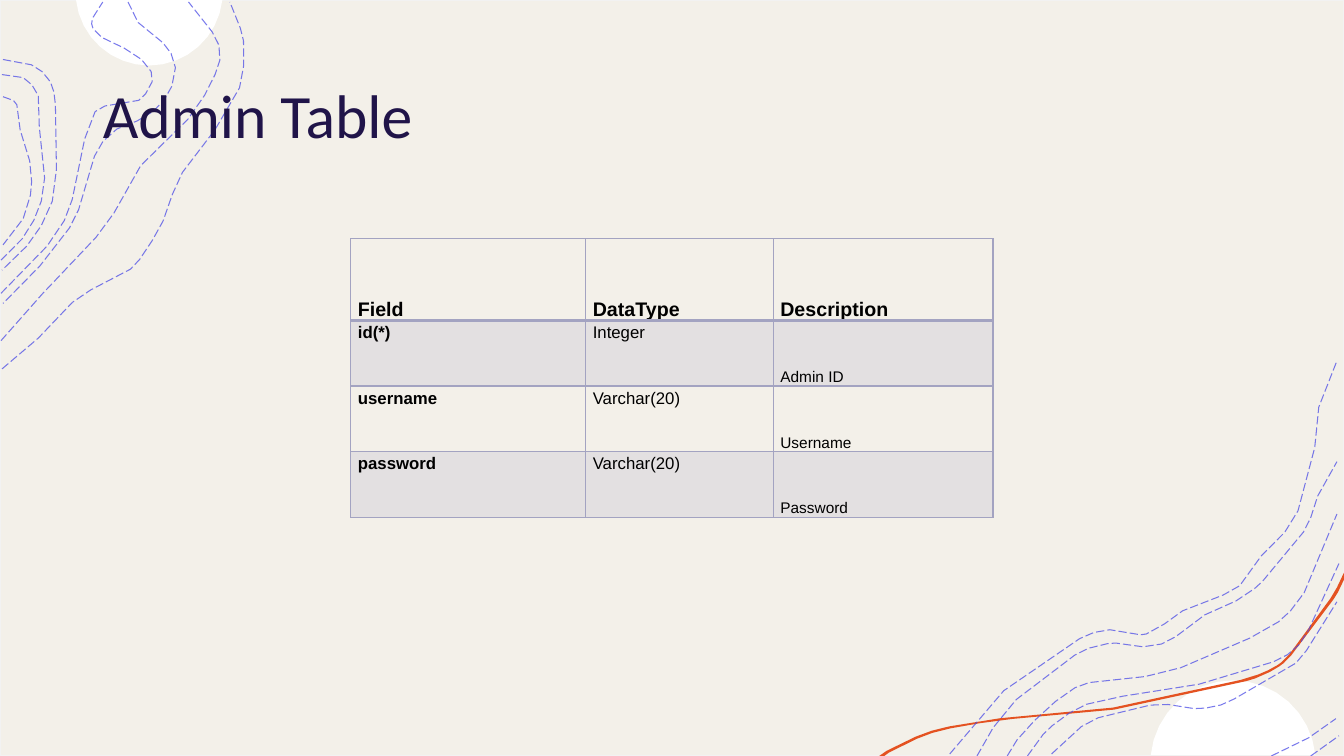
import math
from pptx import Presentation, util as u
from pptx.dml.color import RGBColor
from pptx.enum import dml, shapes as sh, text
from pptx.oxml import parse_xml
from pptx.oxml.ns import nsdecls, qn

CREAM = RGBColor(0xF3, 0xF0, 0xE9)
EDGE = RGBColor(0xF2, 0xF2, 0xF2)
WHITE = RGBColor(0xFF, 0xFF, 0xFF)
BLACK = RGBColor(0, 0, 0)
NAVY = RGBColor(0x20, 0x14, 0x49)
VIOLET = RGBColor(0x4D, 0x4E, 0xE6)
ORANGE = RGBColor(0xE4, 0x52, 0x21)
LILAC = RGBColor(0xA3, 0xA3, 0xC1)

TITLE = "Admin Table"
ROWS = [
    ("Field", "DataType", "Description"),
    ("id(*)", "Integer", "Admin ID"),
    ("username", "Varchar(20)", "Username"),
    ("password", "Varchar(20)", "Password"),
]
WIDTHS = (2.33, 1.86, 2.18)
HEIGHTS = (0.81, 0.65, 0.65, 0.65)
SIZES = (12, 12, 11)

# Centre x, centre y, radius, side of the centre that shows (1 is below)
DISCS = [(1.48, -0.08, 0.73, 1), (12.23, 7.57, 0.82, -1)]
CUT = 0.08

# Knots of the smooth contour lines, in inches
TOP_LEFT = [
    [(0.02, 3.66), (0.2, 3.52), (0.55, 3.19), (0.66, 3.05), (0.86, 2.9), (1.11, 2.77),
     (1.27, 2.69), (1.41, 2.54), (1.6, 2.23), (1.67, 2.03), (1.81, 1.71), (2.01, 1.46),
     (2.19, 1.2), (2.36, 0.91), (2.41, 0.71), (2.42, 0.53), (2.4, 0.33), (2.28, 0.02)],
    [(0.01, 3.38), (0.21, 3.17), (0.38, 2.96), (0.64, 2.69), (0.88, 2.44), (1.08, 2.19),
     (1.22, 1.96), (1.37, 1.68), (1.54, 1.49), (1.83, 1.22), (1.98, 1.03), (2.12, 0.77),
     (2.17, 0.63), (2.18, 0.56), (2.14, 0.37), (1.87, 0.02)],
    [(1.27, 0.02), (1.35, 0.19), (1.41, 0.26), (1.65, 0.46), (1.74, 0.67), (1.69, 0.89),
     (1.55, 1.08), (1.36, 1.2), (1.16, 1.28), (1.04, 1.38), (0.95, 1.52), (0.88, 1.73),
     (0.78, 2.08), (0.69, 2.26), (0.6, 2.38), (0.42, 2.61), (0.28, 2.76), (0.03, 3.01)],
    [(0.01, 2.91), (0.35, 2.57), (0.56, 2.32), (0.7, 2.04), (0.78, 1.65), (0.84, 1.38),
     (0.92, 1.15), (1.01, 1.06), (1.24, 1.03), (1.4, 0.98), (1.51, 0.81), (1.49, 0.69),
     (1.38, 0.57), (1.2, 0.46), (0.98, 0.35), (0.91, 0.21), (1.02, 0.02)],
    [(0.03, 0.59), (0.28, 0.63), (0.44, 0.73), (0.52, 0.86), (0.55, 1.04), (0.55, 1.32),
     (0.56, 1.68), (0.54, 1.9), (0.48, 2.1), (0.31, 2.39), (0.02, 2.68)],
    [(0.02, 0.74), (0.23, 0.77), (0.38, 0.95), (0.39, 1.26), (0.43, 1.55), (0.44, 1.81),
     (0.38, 2.09), (0.22, 2.37), (0.01, 2.58)],
    [(0.03, 0.96), (0.15, 1.01), (0.18, 1.12), (0.2, 1.29), (0.28, 1.54), (0.3, 1.65),
     (0.31, 1.89), (0.23, 2.17), (0.14, 2.3), (0.03, 2.43)],
]
LOW_RIGHT = [
    [(9.42, 7.48), (9.49, 7.39), (9.71, 7.13), (9.86, 6.95), (10.02, 6.8), (10.32, 6.6),
     (10.56, 6.43), (10.78, 6.3), (10.98, 6.25), (11.13, 6.26), (11.26, 6.29), (11.37, 6.29),
     (11.55, 6.19), (11.73, 6.06), (12, 5.96), (12.24, 5.85), (12.34, 5.76), (12.49, 5.54),
     (12.61, 5.41), (12.72, 5.31), (12.86, 5.1), (12.91, 4.93), (12.92, 4.85), (13.04, 4.44),
     (13.08, 4.04), (13.26, 3.58)],
    [(9.69, 7.5), (9.85, 7.22), (10.08, 6.94), (10.29, 6.77), (10.49, 6.62), (10.75, 6.45),
     (11.03, 6.38), (11.22, 6.41), (11.45, 6.41), (11.64, 6.33), (11.75, 6.24), (11.95, 6.1),
     (12.18, 6), (12.33, 5.92), (12.5, 5.79), (12.63, 5.63), (12.86, 5.36), (12.94, 5.26),
     (13.01, 5.11), (13.07, 4.92), (13.26, 4.58)],
    [(13, 7.5), (13.28, 7.3)],
    [(12.61, 7.5), (12.98, 7.32), (13.25, 7.13)],
    [(10.43, 7.48), (10.63, 7.29), (10.84, 7.14), (11.19, 7.05), (11.45, 6.99), (11.71, 7),
     (11.88, 7.03), (12.17, 6.97), (12.64, 6.69), (12.9, 6.53), (13.26, 5.97)],
    [(10.19, 7.5), (10.39, 7.24), (10.72, 7.01), (11.07, 6.92), (11.49, 6.85), (11.84, 6.8),
     (12.15, 6.71), (12.52, 6.6), (12.71, 6.53), (12.88, 6.4), (13.03, 6.15), (13.28, 5.59)],
    [(9.99, 7.5), (10.12, 7.3), (10.42, 7), (10.71, 6.8), (11, 6.75), (11.43, 6.7),
     (11.84, 6.58), (12.16, 6.43), (12.44, 6.31), (12.68, 6.17), (12.85, 6), (12.99, 5.77),
     (13.26, 5.1)],
]
RIBBON = [  # lower edge, then upper edge
    [(13.33, 5.75), (13.25, 5.91), (13.07, 6.16), (12.93, 6.34), (12.73, 6.58), (12.45, 6.73),
     (12.15, 6.8), (11.55, 6.93), (11.05, 7.04), (10.48, 7.09), (9.82, 7.16), (9.25, 7.27),
     (8.85, 7.45), (8.77, 7.5)],
    [(8.72, 7.5), (8.83, 7.43), (9.24, 7.25), (9.81, 7.14), (10.48, 7.07), (11.04, 7.02),
     (11.54, 6.91), (12.14, 6.78), (12.43, 6.71), (12.71, 6.57), (12.91, 6.33), (13.04, 6.15),
     (13.22, 5.9), (13.31, 5.72), (13.33, 5.68)],
]


def trim(pts, slack):
    """Drop the points that lie within slack of a straight run."""
    (ax, ay), (bx, by) = pts[0], pts[-1]
    span = math.hypot(bx - ax, by - ay)
    gaps = [abs((bx - ax) * (y - ay) - (by - ay) * (x - ax)) / span for x, y in pts]
    far = gaps.index(max(gaps))
    if gaps[far] <= slack:
        return [pts[0], pts[-1]]
    return trim(pts[:far + 1], slack)[:-1] + trim(pts[far:], slack)


def smooth(knots, slack=0.012, steps=6):
    """Return few points along a Catmull-Rom curve through the knots."""
    ends = [knots[0], *knots, knots[-1]]
    out = [knots[0]]
    for a, b, c, d in zip(ends, ends[1:], ends[2:], ends[3:]):
        for i in range(1, steps + 1):
            t = i / steps
            out.append(tuple(
                q + t * (r - p + t * (2 * p - 5 * q + 4 * r - s + t * (3 * q - p - 3 * r + s))) / 2
                for p, q, r, s in zip(a, b, c, d)))
    return trim(out, slack)


def fade(node, share):
    tint = next(node.iter(qn("a:srgbClr")))
    tint.append(parse_xml(f'<a:alpha {nsdecls("a")} val="{share * 1000}"/>'))


def outline(home, points, fill=None):
    """Draw a filled closed shape, or an open dashed line when fill is None."""
    pts = [(u.Inches(x), u.Inches(y)) for x, y in points]
    pen = home.build_freeform(*pts[0])
    pen.add_line_segments(pts[1:], close=fill is not None)
    form = pen.convert_to_shape()
    form.shadow.inherit = False
    if fill is not None:
        form.fill.solid()
        form.fill.fore_color.rgb = fill
        form.line.fill.background()
        return
    form.fill.background()
    form.line.color.rgb = VIOLET
    form.line.width = u.Pt(0.75)
    form.line.dash_style = dml.MSO_LINE.LONG_DASH
    fade(form.element.spPr.find(qn("a:ln")), 75)


def disc(home, cx, cy, r, side, parts=16):
    start = math.asin(CUT / r)
    turns = [start + (math.pi - 2 * start) * i / parts for i in range(parts + 1)]
    outline(home, [(cx + r * math.cos(a), cy + side * r * math.sin(a)) for a in turns], WHITE)


def border(props, row):
    wide = {"T": 2 if row == 1 else 1, "B": 2 if row == 0 else 1}
    for i, side in enumerate("LRTB"):
        props.insert(i, parse_xml(
            f'<a:ln{side} {nsdecls("a")} w="{u.Pt(wide.get(side, 1))}"><a:solidFill>'
            f'<a:srgbClr val="{LILAC}"/></a:solidFill></a:ln{side}>'))


def grid(home):
    frame = home.add_table(len(ROWS), len(WIDTHS), u.Inches(3.48), u.Inches(2.37),
                           u.Inches(sum(WIDTHS)), u.Inches(sum(HEIGHTS)))
    table = frame.table
    table.horz_banding = False
    for col, wide in zip(table.columns, WIDTHS):
        col.width = u.Inches(wide)
    for row, high in zip(table.rows, HEIGHTS):
        row.height = u.Inches(high)
    for i, (cell, node) in enumerate(zip(table.iter_cells(), frame.element.iter(qn("a:tc")))):
        r, c = divmod(i, len(WIDTHS))
        cell.text = ROWS[r][c]
        cell.margin_left = cell.margin_right = u.Inches(0.07)
        cell.margin_top = cell.margin_bottom = 0
        low = r == 0 or c == 2
        cell.vertical_anchor = text.MSO_ANCHOR.BOTTOM if low else text.MSO_ANCHOR.TOP
        para = cell.text_frame.paragraphs[0]
        para.line_spacing, para.space_after = 1.15, u.Pt(10)
        font = para.font
        font.name, font.size = "Arial", u.Pt(SIZES[c] if r else 14)
        font.bold, font.color.rgb = r == 0 or c == 0, BLACK
        props = node.find(qn("a:tcPr"))
        if r % 2:
            cell.fill.solid()
            cell.fill.fore_color.rgb = LILAC
            fade(props, 20)
        else:
            cell.fill.background()
        border(props, r)


def main():
    deck = Presentation()
    deck.slide_width, deck.slide_height = u.Inches(13.33), u.Inches(7.5)
    home = deck.slides.add_slide(deck.slide_layouts[5]).shapes
    title = home.title

    back = home.add_shape(sh.MSO_SHAPE.RECTANGLE, 0, 0, deck.slide_width, deck.slide_height)
    back.shadow.inherit = False
    back.fill.solid()
    back.fill.fore_color.rgb = CREAM
    back.line.color.rgb = EDGE
    back.line.width = u.Pt(1)
    for spot in DISCS:
        disc(home, *spot)
    outline(home, [p for edge in RIBBON for p in smooth(edge, 0.005)], ORANGE)
    for lines in (TOP_LEFT, LOW_RIGHT):
        group = home.add_group_shape().shapes
        for knots in lines:
            outline(group, smooth(knots))

    title.element.getparent().append(title.element)  # bring in front of the artwork
    title.left, title.top = u.Inches(0.92), u.Inches(0.4)
    title.width, title.height = u.Inches(11.5), u.Inches(1.45)
    title.text = TITLE
    title.text_frame.vertical_anchor = text.MSO_ANCHOR.MIDDLE
    para = title.text_frame.paragraphs[0]
    para.alignment = text.PP_ALIGN.LEFT
    para.font.name, para.font.size, para.font.color.rgb = "Calibri", u.Pt(44), NAVY
    grid(home)
    deck.save("out.pptx")


if __name__ == "__main__":
    main()
